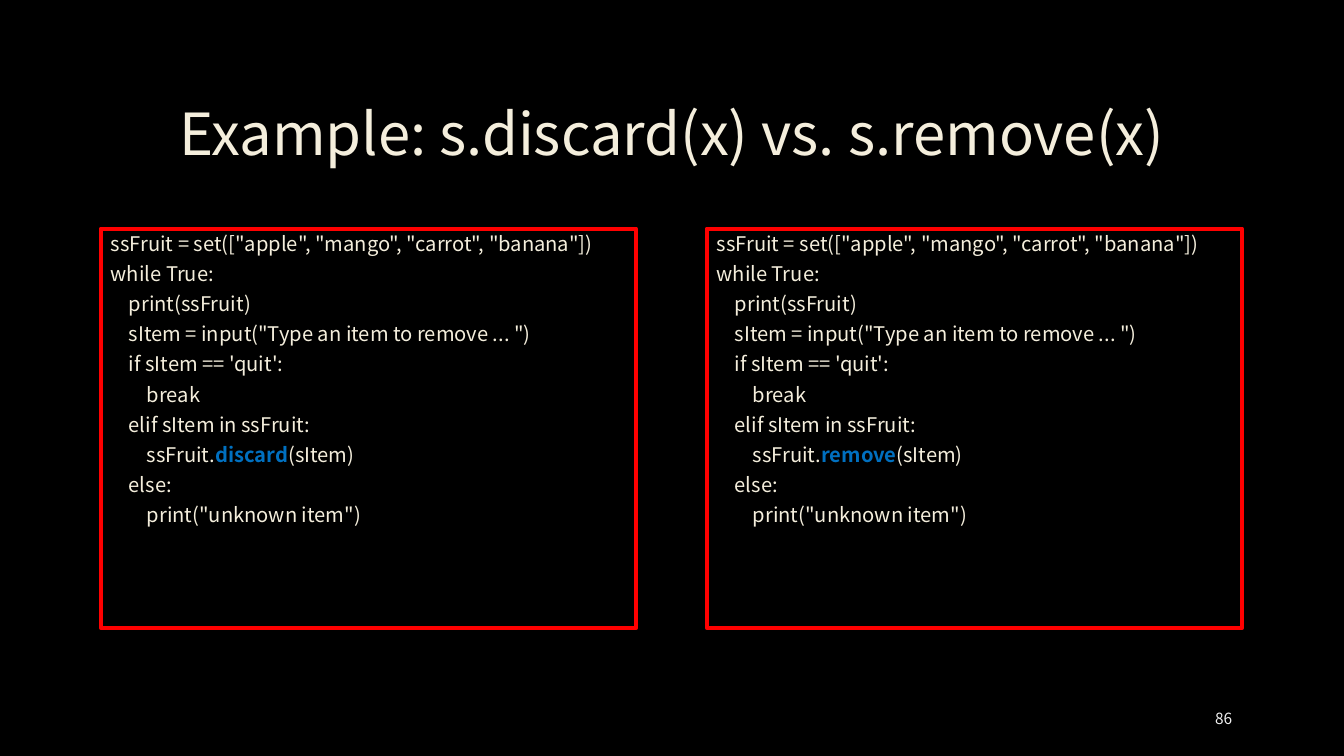
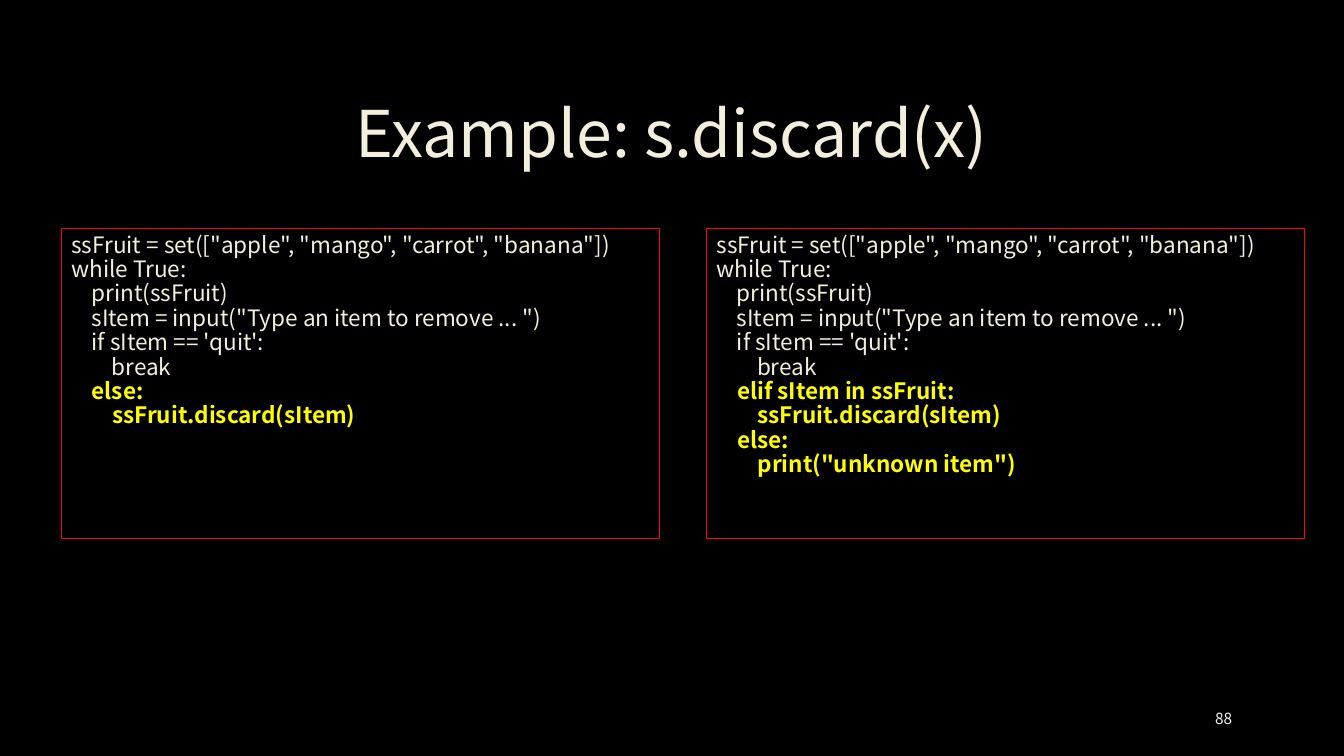
from pptx import Presentation
from pptx.dml.color import RGBColor
from pptx.enum.shapes import MSO_SHAPE
from pptx.enum.text import MSO_ANCHOR, MSO_AUTO_SIZE, PP_ALIGN
from pptx.util import Inches, Pt

RECTANGLE = MSO_SHAPE.RECTANGLE
TOP, MIDDLE = MSO_ANCHOR.TOP, MSO_ANCHOR.MIDDLE
LEFT, CENTER, RIGHT = PP_ALIGN.LEFT, PP_ALIGN.CENTER, PP_ALIGN.RIGHT
NO_AUTOFIT = MSO_AUTO_SIZE.NONE

BLACK = RGBColor(0x00, 0x00, 0x00)
CREAM = RGBColor(0xF4, 0xEE, 0xDC)
RED = RGBColor(0xFF, 0x00, 0x00)
BLUE = RGBColor(0x00, 0x70, 0xC0)
YELLOW = RGBColor(0xFF, 0xFF, 0x00)
PALE_GRAY = RGBColor(0xF2, 0xF2, 0xF2)

FONT = "Noto Sans CJK KR"
TITLE_ONLY = 5
PANEL_TOP = 2.27
RIGHT_PANEL_LEFT = 7.01

LOOP_START = [
    'ssFruit = set(["apple", "mango", "carrot", "banana"])',
    "while True:",
    "    print(ssFruit)",
    '    sItem = input("Type an item to remove ... ")',
    "    if sItem == 'quit':",
    "        break",
]
CHECK = "    elif sItem in ssFruit:"
OTHERWISE = "    else:"
DISCARD = "        ssFruit.discard(sItem)"
UNKNOWN = '        print("unknown item")'


def format_run(run, size, color, bold=False):
    run.font.name = FONT
    run.font.size = Pt(size)
    run.font.bold = bold
    run.font.color.rgb = color


def plain(lines):
    return [[(line, CREAM)] for line in lines]


def emphasized(lines):
    return [[(line, YELLOW)] for line in lines]


def method_example(method):
    call = [("        ssFruit.", CREAM), (method, BLUE), ("(sItem)", CREAM)]
    return plain(LOOP_START + [CHECK]) + [call] + plain([OTHERWISE, UNKNOWN])


def add_label(shape, text, size, color, alignment):
    frame = shape.text_frame
    frame.text = text
    frame.word_wrap = True
    frame.auto_size = NO_AUTOFIT
    frame.vertical_anchor = MIDDLE
    paragraph = frame.paragraphs[0]
    paragraph.alignment = alignment
    format_run(paragraph.runs[0], size, color)
    return paragraph


def add_example_slide(presentation, title, title_size, number):
    slide = presentation.slides.add_slide(presentation.slide_layouts[TITLE_ONLY])
    heading = slide.shapes.title
    heading.left, heading.top = Inches(1), Inches(0.67)
    heading.width, heading.height = Inches(11.32), Inches(1.38)
    add_label(heading, title, title_size, CREAM, CENTER).line_spacing = 0.9
    number_box = slide.shapes.add_textbox(
        Inches(11.5), Inches(6.93), Inches(0.82), Inches(0.4))
    add_label(number_box, str(number), 11, PALE_GRAY, RIGHT)
    return slide


def add_code_panel(slide, left, size, border, lines, font_size, space_after=0):
    width, height = size
    panel = slide.shapes.add_shape(
        RECTANGLE, Inches(left), Inches(PANEL_TOP), Inches(width), Inches(height))
    panel.shadow.inherit = False
    panel.fill.background()
    panel.line.color.rgb = RED
    panel.line.width = Pt(border)
    frame = panel.text_frame
    frame.word_wrap = True
    frame.vertical_anchor = TOP
    for index, line in enumerate(lines):
        paragraph = frame.add_paragraph() if index else frame.paragraphs[0]
        paragraph.alignment = LEFT
        paragraph.line_spacing = 0.9
        paragraph.space_after = Pt(space_after)
        for text, color in line:
            run = paragraph.add_run()
            run.text = text
            format_run(run, font_size, color, bold=color != CREAM)


def add_comparison_slide(presentation):
    slide = add_example_slide(
        presentation, "Example: s.discard(x) vs. s.remove(x)", 41.4, 86)
    for left, method in ((1, "discard"), (RIGHT_PANEL_LEFT, "remove")):
        add_code_panel(slide, left, (5.31, 3.96), 3, method_example(method), 14.4, 6)


def add_discard_slide(presentation):
    slide = add_example_slide(presentation, "Example: s.discard(x)", 46, 88)
    endings = (
        (0.61, [OTHERWISE, DISCARD]),
        (RIGHT_PANEL_LEFT, [CHECK, DISCARD, OTHERWISE, UNKNOWN]),
    )
    for left, ending in endings:
        lines = plain(LOOP_START) + emphasized(ending)
        add_code_panel(slide, left, (5.93, 3.07), 0.75, lines, 16.1)


def main():
    presentation = Presentation()
    presentation.slide_width = Inches(13.33)
    presentation.slide_height = Inches(7.5)
    background = presentation.slide_master.background.fill
    background.solid()
    background.fore_color.rgb = BLACK
    add_comparison_slide(presentation)
    add_discard_slide(presentation)
    presentation.save("out.pptx")


if __name__ == "__main__":
    main()
